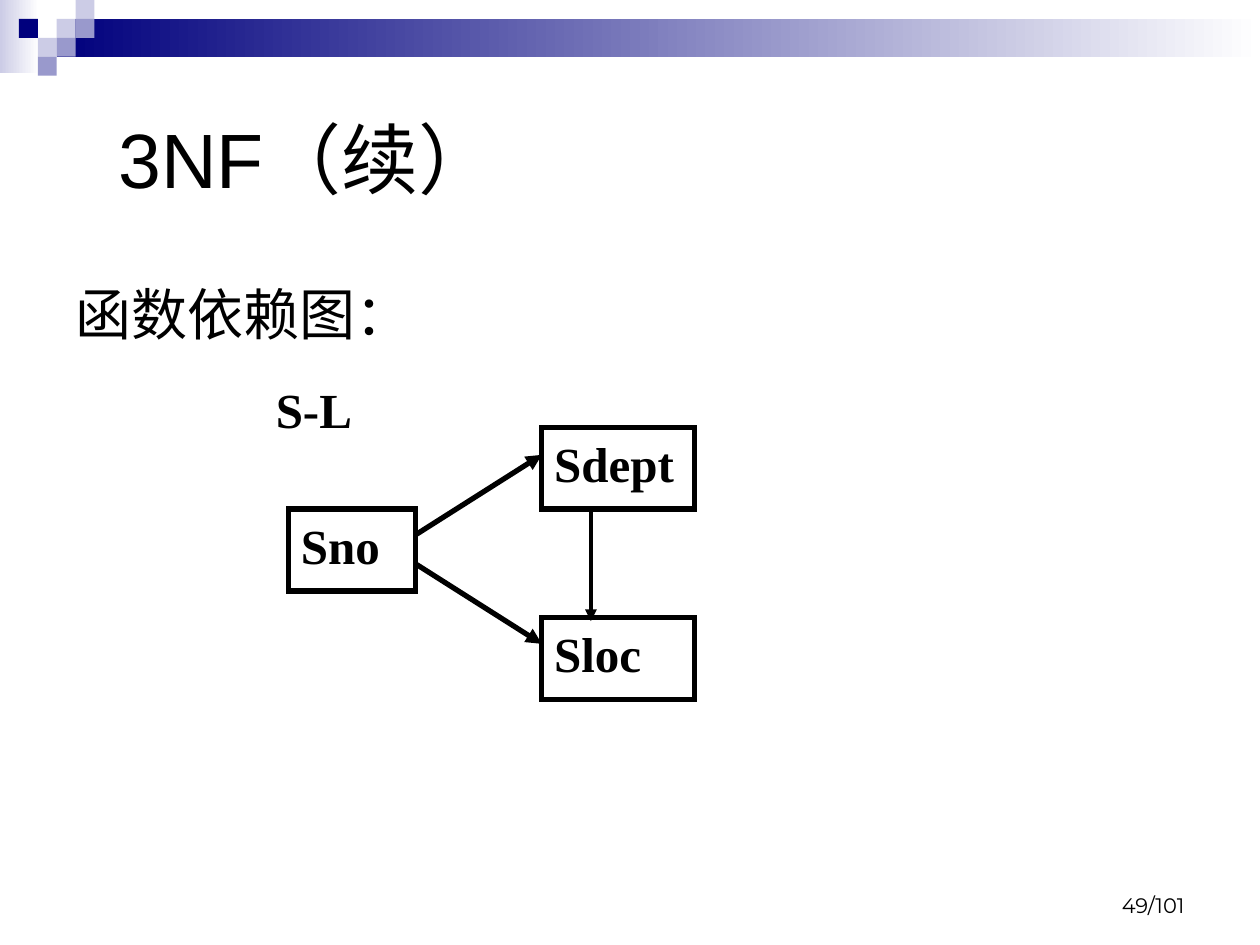
from dataclasses import dataclass
from typing import Any, NamedTuple

from lxml.etree import SubElement
from pptx import Presentation
from pptx.dml.color import RGBColor
from pptx.enum.shapes import MSO_CONNECTOR, MSO_SHAPE
from pptx.enum.text import MSO_ANCHOR, PP_ALIGN
from pptx.oxml.ns import qn
from pptx.util import Inches, Pt


@dataclass(frozen=True)
class Theme:
    ink: RGBColor = RGBColor(0, 0, 0)
    white: RGBColor = RGBColor(255, 255, 255)
    navy: RGBColor = RGBColor.from_string("00007D")
    mid: RGBColor = RGBColor.from_string("9999CC")
    pale: RGBColor = RGBColor.from_string("CCCCE6")
    sans: str = "Arial"
    serif: str = "Times New Roman"
    small: str = "Montserrat"
    title: int = 44
    body: int = 32
    node: int = 28
    page: int = 12


class Area(NamedTuple):
    left: float
    top: float
    width: float
    height: float


class Tile(NamedTuple):
    col: int
    row: int
    color: RGBColor


class Node(NamedTuple):
    text: str
    area: Area
    framed: bool = True


class Arrow(NamedTuple):
    start: tuple[float, float]
    end: tuple[float, float]
    weight: float = 3


THEME = Theme()
STEP = 0.15
BANDS = [
    (Area(0, 0, 0.31, 0.58), THEME.pale),
    (Area(3 * STEP, STEP, 10 - 3 * STEP, 2 * STEP), THEME.navy),
]
TILES = [
    Tile(3, 1, THEME.pale),
    Tile(4, 0, THEME.pale),
    Tile(4, 1, THEME.mid),
    Tile(2, 2, THEME.pale),
    Tile(1, 1, THEME.navy),
    Tile(3, 2, THEME.mid),
    Tile(2, 3, THEME.mid),
]
NODES = [
    Node("S-L", Area(2.09, 2.96, 1.21, 0.65), False),
    Node("Sno", Area(2.29, 4.04, 1.01, 0.65)),
    Node("Sdept", Area(4.3, 3.39, 1.21, 0.65)),
    Node("Sloc", Area(4.3, 4.9, 1.21, 0.65)),
]
ARROWS = [
    Arrow((3.29, 4.25), (4.3, 3.61)),
    Arrow((3.29, 4.47), (4.3, 5.11)),
    Arrow((4.69, 4.06), (4.69, 4.93), 2.25),
]


def apply(item: Any, style: dict[str, Any]) -> None:
    for key, value in style.items():
        setattr(item, key, value)


def place(shape: Any, area: Area) -> None:
    apply(shape, {key: Inches(value) for key, value in area._asdict().items()})


def write(shape: Any, text: str, face: str, size: int, align: PP_ALIGN,
          anchor: MSO_ANCHOR, bold: bool = False) -> None:
    frame = shape.text_frame
    apply(frame, {"text": text, "word_wrap": True, "vertical_anchor": anchor})
    para = frame.paragraphs[0]
    apply(para, {"alignment": align, "space_before": Pt(0)})
    font = para.runs[0].font
    apply(font, {"name": face, "size": Pt(size), "bold": bold})
    font.color.rgb = THEME.ink


def unlist(shape: Any) -> None:
    props = shape.text_frame.paragraphs[0]._p.get_or_add_pPr()
    for key in ("marL", "indent"):
        props.set(key, "0")
    SubElement(props, qn("a:buNone"))


def draw_rect(slide: Any, area: Area) -> Any:
    spots = [Inches(value) for value in area]
    shape = slide.shapes.add_shape(MSO_SHAPE.RECTANGLE, *spots)
    shape.shadow.inherit = False
    return shape


def draw_band(slide: Any, area: Area, color: RGBColor) -> None:
    shape = draw_rect(slide, area)
    shape.line.fill.background()
    shape.fill.gradient()
    shape.fill.gradient_angle = 0
    for stop, tint, spot in zip(shape.fill.gradient_stops, (color, THEME.white), (0, 1)):
        stop.color.rgb = tint
        stop.position = spot


def draw_tile(slide: Any, tile: Tile) -> None:
    shape = draw_rect(slide, Area(tile.col * STEP, tile.row * STEP, STEP, STEP))
    shape.line.fill.background()
    shape.fill.solid()
    shape.fill.fore_color.rgb = tile.color


def add_label(slide: Any, area: Area) -> Any:
    return slide.shapes.add_textbox(*[Inches(value) for value in area])


def stroke(shape: Any, weight: float, tag: str, **attrs: str) -> None:
    shape.line.color.rgb = THEME.ink
    shape.line.width = Pt(weight)
    SubElement(shape.line._get_or_add_ln(), qn(tag), **attrs)


def draw_node(slide: Any, node: Node) -> None:
    if node.framed:
        shape = draw_rect(slide, node.area)
        shape.fill.background()
        stroke(shape, 3, "a:miter", lim="800000")
    else:
        shape = add_label(slide, node.area)
    write(shape, node.text, THEME.serif, THEME.node, PP_ALIGN.JUSTIFY,
          MSO_ANCHOR.TOP, True)


def draw_arrow(slide: Any, arrow: Arrow) -> None:
    ends = [Inches(value) for value in arrow.start + arrow.end]
    link = slide.shapes.add_connector(MSO_CONNECTOR.STRAIGHT, *ends)
    stroke(link, arrow.weight, "a:tailEnd", type="triangle")
    SubElement(link._element.spPr, qn("a:effectLst"))


def main() -> None:
    deck = Presentation()
    apply(deck, {"slide_width": Inches(10), "slide_height": Inches(7.5)})
    slide = deck.slides.add_slide(deck.slide_layouts[1])
    for area, color in BANDS:
        draw_band(slide, area, color)
    for tile in TILES:
        draw_tile(slide, tile)

    title, body = slide.placeholders
    place(title, Area(0.5, 0.5, 9, 1.5))
    write(title, "3NF（续）", THEME.sans, THEME.title, PP_ALIGN.LEFT, MSO_ANCHOR.MIDDLE)
    title.text_frame.margin_left = Inches(0.44)

    place(body, Area(0.5, 2.17, 9, 4.25))
    write(body, "函数依赖图：", THEME.sans, THEME.body, PP_ALIGN.LEFT, MSO_ANCHOR.TOP)
    unlist(body)

    for node in NODES:
        draw_node(slide, node)
    for arrow in ARROWS:
        draw_arrow(slide, arrow)

    page = add_label(slide, Area(7.17, 6.83, 2.33, 0.5))
    write(page, "49/101", THEME.small, THEME.page, PP_ALIGN.RIGHT, MSO_ANCHOR.BOTTOM)
    deck.save("out.pptx")


if __name__ == "__main__":
    main()
